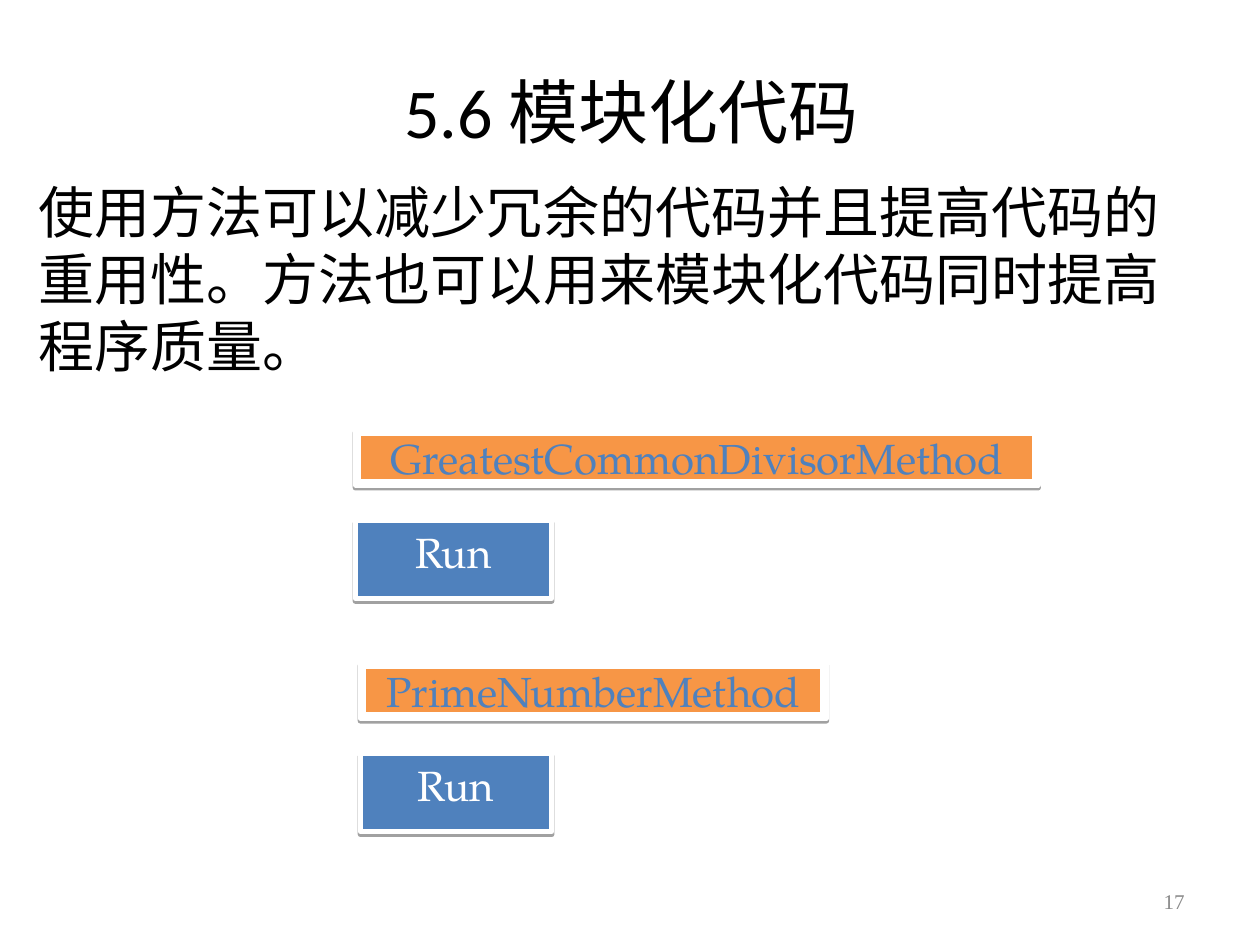
from typing import NamedTuple

from lxml.etree import SubElement
from pptx import Presentation
from pptx.dml.color import RGBColor as RGB
from pptx.enum.shapes import MSO_SHAPE as Kind
from pptx.enum.text import MSO_ANCHOR as Anchor, PP_ALIGN as Align
from pptx.oxml.ns import qn
from pptx.util import Inches, Pt

WIDE, HIGH = 10, 7.5
INK = {"text": "000000", "page": "898989", "link": "F79646",
       "run": "4F81BD", "white": "FFFFFF", "shade": "000000"}
SERIF = "TeX Gyre Pagella"
STEP = 1.85  # from one demo to the next
LINK_H, RUN_H, DROP = 0.44, 0.62, 0.72


class Box(NamedTuple):
    left: float
    top: float
    width: float
    height: float

    def emu(self) -> list:
        return [Inches(n) for n in self]


class Demo(NamedTuple):
    name: str
    left: float
    width: float
    run: float


DEMOS = [Demo("GreatestCommonDivisorMethod", 2.82, 5.42, 1.56),
         Demo("PrimeNumberMethod", 2.86, 3.7, 1.52)]


def write(shape, text: str, size: float, font: str = "Calibri",
          ink: str = "text", align=Align.LEFT, anchor=Anchor.TOP,
          wrap: bool = True) -> None:
    frame = shape.text_frame
    frame.word_wrap = wrap
    frame.vertical_anchor = anchor
    para = frame.paragraphs[0]
    para.alignment = align
    run = para.add_run()
    run.text = text
    run.font.size = Pt(size)
    run.font.name = font
    run.font.color.rgb = RGB.from_string(INK[ink])
    SubElement(run.font._element, qn("a:ea"), typeface=font)


def shade(shape) -> None:
    """Give the shape a hard, faint shadow straight below."""
    shape.shadow.inherit = False
    group = shape._element.spPr.find(qn("a:effectLst"))
    drop = SubElement(group, qn("a:outerShdw"), blurRad="0",
                      dist=str(Pt(1.6)), dir="5400000", rotWithShape="0")
    tint = SubElement(drop, qn("a:srgbClr"), val=INK["shade"])
    SubElement(tint, qn("a:alpha"), val="36000")


def button(slide, kind, box: Box, fill: str):
    shape = slide.shapes.add_shape(kind, *box.emu())
    shape.fill.solid()
    shape.fill.fore_color.rgb = RGB.from_string(INK[fill])
    shape.line.color.rgb = RGB.from_string(INK["white"])
    shape.line.width = Pt(3)
    shade(shape)
    return shape


def show(slide, demo: Demo, top: float) -> None:
    """Draw the bevelled program link with its run button below."""
    link = button(slide, Kind.BEVEL,
                  Box(demo.left, top, demo.width, LINK_H), "link")
    link.adjustments[0] = 0.06
    write(link, demo.name, 24, font=SERIF, ink="run", align=Align.CENTER,
          anchor=Anchor.MIDDLE, wrap=False)
    run = button(slide, Kind.RECTANGLE,
                 Box(demo.left, top + DROP, demo.run, RUN_H), "run")
    write(run, "Run", 24, font=SERIF, ink="white", align=Align.CENTER)


def main() -> None:
    deck = Presentation()
    deck.slide_width, deck.slide_height = Inches(WIDE), Inches(HIGH)
    slide = deck.slides.add_slide(deck.slide_layouts[6])

    def label(box: Box, text: str, size: float, **style) -> None:
        write(slide.shapes.add_textbox(*box.emu()), text, size, **style)

    label(Box(0.76, 0.52, 8.5, 0.71), "5.6 模块化代码", 40,
          align=Align.CENTER, anchor=Anchor.MIDDLE)
    label(Box(0.21, 1.36, 9.49, 2.04),
          "使用方法可以减少冗余的代码并且提高代码的重用性。"
          "方法也可以用来模块化代码同时提高程序质量。", 32)
    label(Box(7.17, 6.95, 2.33, 0.4), "17", 12, font="Times New Roman",
          ink="page", align=Align.RIGHT, anchor=Anchor.MIDDLE)
    for row, demo in enumerate(DEMOS):
        show(slide, demo, 3.41 + row * STEP)
    deck.save("out.pptx")


if __name__ == "__main__":
    main()
